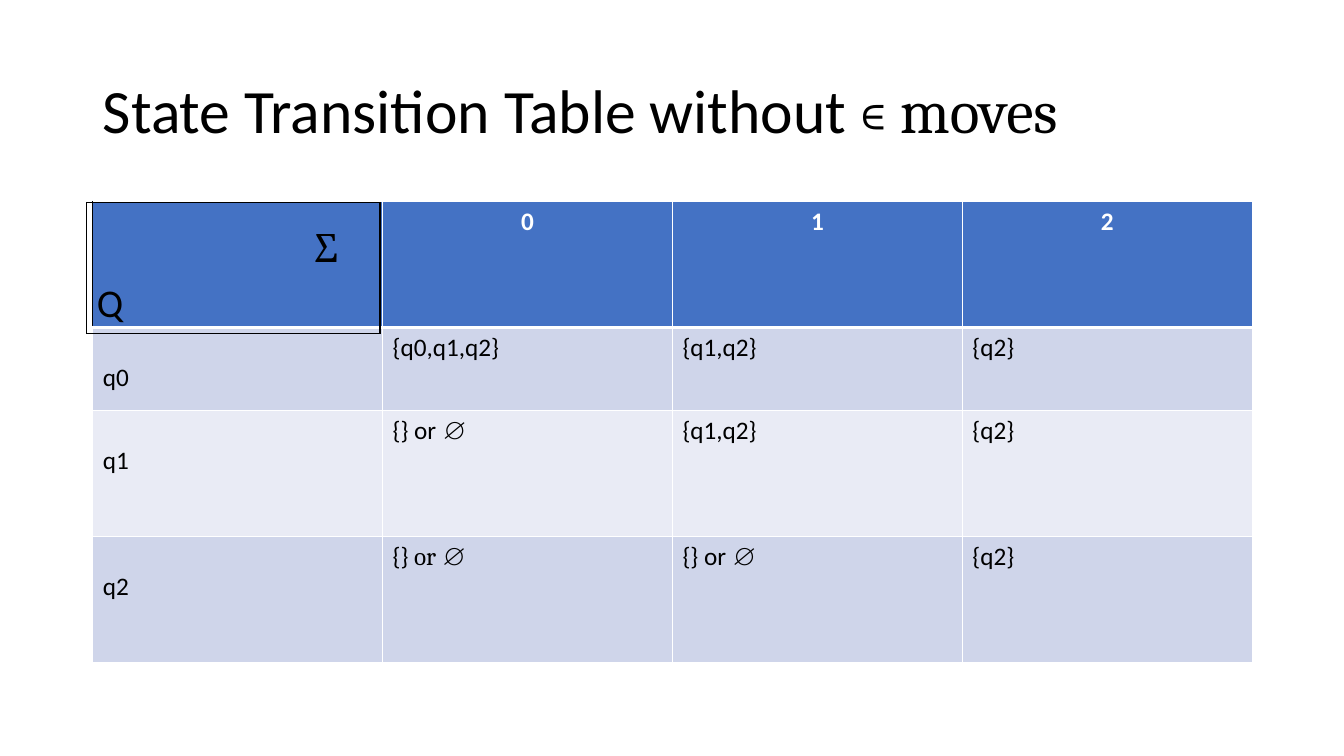
from dataclasses import dataclass

import pptx
import pptx.dml.color
import pptx.enum.text
import pptx.oxml
import pptx.oxml.ns
import pptx.util

Inches = pptx.util.Inches
Pt = pptx.util.Pt
Align = pptx.enum.text.PP_ALIGN


@dataclass(frozen=True)
class Theme:
    body_font: str = "Calibri"
    math_font: str = "Cambria"
    black: str = "000000"
    white: str = "FFFFFF"
    header: str = "4472C4"
    bands: tuple[str, str] = ("CFD5EA", "E9EBF5")
    title_size: int = 44
    symbol_size: int = 28
    cell_size: int = 18
    plain_table_style: str = "{2D5ABB26-0587-4C30-8999-92F81FD0307C}"


@dataclass(frozen=True)
class Piece:
    text: str
    font: str


@dataclass(frozen=True)
class StateRow:
    state: str
    targets: tuple[tuple[Piece, ...], ...]


@dataclass(frozen=True)
class Borders:
    left: str
    right: str
    top: str
    bottom: str
    bottom_width: float = 1


THEME = Theme()
SYMBOLS = ("0", "1", "2")
ROW_HEIGHTS = (1.25, 0.82, 1.25, 1.25)
TABLE_WIDTH = 11.5


def body(text: str) -> Piece:
    return Piece(text, THEME.body_font)


def math(text: str) -> Piece:
    return Piece(text, THEME.math_font)


STATES = (
    StateRow("q0", ((body("{q0,q1,q2}"),), (body("{q1,q2}"),), (body("{q2}"),))),
    StateRow("q1", ((body("{} or "), math("∅")), (body("{q1,q2}"),), (body("{q2}"),))),
    StateRow("q2", ((body("{}"), math(" or ∅")), (body("{} or "), math("∅")), (body("{q2}"),))),
)


def add_text(paragraph, text: str, *, font: str = THEME.body_font, size: float = THEME.cell_size,
             color: str = THEME.black, bold: bool = False, align: Align = Align.LEFT) -> None:
    paragraph.alignment = align
    run = paragraph.add_run()
    run.text = text
    run.font.name = font
    run.font.size = Pt(size)
    run.font.bold = bold
    run.font.color.rgb = pptx.dml.color.RGBColor.from_string(color)


def set_borders(cell, borders: Borders) -> None:
    properties = cell._tc.get_or_add_tcPr()
    sides = (("L", borders.left, 1), ("R", borders.right, 1), ("T", borders.top, 1),
             ("B", borders.bottom, borders.bottom_width))
    for side, color, width in sides:
        properties.append(pptx.oxml.parse_xml(
            f'<a:ln{side} {pptx.oxml.ns.nsdecls("a")} w="{Pt(width)}">'
            f'<a:solidFill><a:srgbClr val="{color}"/></a:solidFill></a:ln{side}>'))


def style_cell(cell, borders: Borders, fill: str | None = None) -> None:
    set_borders(cell, borders)
    if fill is None:
        cell.fill.background()
    else:
        cell.fill.solid()
        cell.fill.fore_color.rgb = pptx.dml.color.RGBColor.from_string(fill)


def add_plain_table(slide, rows: int, columns: int, left: float, top: float,
                    width: float, height: float):
    frame = slide.shapes.add_table(rows, columns, Inches(left), Inches(top),
                                   Inches(width), Inches(height))
    table = frame.table
    table.first_row = False
    table.horz_banding = False
    style = table._tbl.tblPr.find(pptx.oxml.ns.qn("a:tableStyleId"))
    style.text = THEME.plain_table_style
    return table


def add_title(slide) -> None:
    title = slide.shapes.title
    title.left, title.top = Inches(0.92), Inches(0.4)
    title.width, title.height = Inches(11.5), Inches(1.45)
    title.text_frame.vertical_anchor = pptx.enum.text.MSO_ANCHOR.MIDDLE
    title.text_frame.word_wrap = True
    paragraph = title.text_frame.paragraphs[0]
    paragraph.line_spacing = 0.9
    for piece in (body("State Transition Table without "), math("∊ moves")):
        add_text(paragraph, piece.text, font=piece.font, size=THEME.title_size)


def add_transition_table(slide) -> None:
    table = add_plain_table(slide, len(ROW_HEIGHTS), len(SYMBOLS) + 1, 0.92, 2,
                            TABLE_WIDTH, sum(ROW_HEIGHTS))
    for row, height in zip(table.rows, ROW_HEIGHTS):
        row.height = Inches(height)

    white = THEME.white
    for column in range(len(SYMBOLS) + 1):
        left = THEME.black if column == 0 else white
        style_cell(table.cell(0, column), Borders(left, white, white, white, 3), THEME.header)
    for column, symbol in enumerate(SYMBOLS, 1):
        add_text(table.cell(0, column).text_frame.paragraphs[0], symbol,
                 color=white, bold=True, align=Align.CENTER)

    for row, state_row in enumerate(STATES, 1):
        contents = ((body(state_row.state),), *state_row.targets)
        top_width = Borders(white, white, white, white)
        for column, pieces in enumerate(contents):
            cell = table.cell(row, column)
            style_cell(cell, top_width, THEME.bands[(row - 1) % 2])
            for piece in pieces:
                add_text(cell.text_frame.paragraphs[0], piece.text, font=piece.font)
        table.cell(row, 0).margin_top = Inches(0.35)


def add_corner_table(slide) -> None:
    table = add_plain_table(slide, 1, 1, 0.86, 2.01, 2.91, 1.29)
    cell = table.cell(0, 0)
    black = THEME.black
    style_cell(cell, Borders(black, black, black, black))
    alphabet = cell.text_frame.paragraphs[0]
    alphabet._p.get_or_add_pPr().set("marL", str(Inches(2.16)))
    alphabet.line_spacing = Pt(46)
    alphabet.space_after = Pt(6)
    add_text(alphabet, "Σ", font=THEME.math_font, size=THEME.symbol_size)
    add_text(cell.text_frame.add_paragraph(), "Q", size=THEME.symbol_size)


def main() -> None:
    presentation = pptx.Presentation()
    presentation.slide_width = Inches(13.33)
    presentation.slide_height = Inches(7.5)
    slide = presentation.slides.add_slide(presentation.slide_layouts[5])
    add_title(slide)
    add_transition_table(slide)
    add_corner_table(slide)
    presentation.save("out.pptx")


if __name__ == "__main__":
    main()
